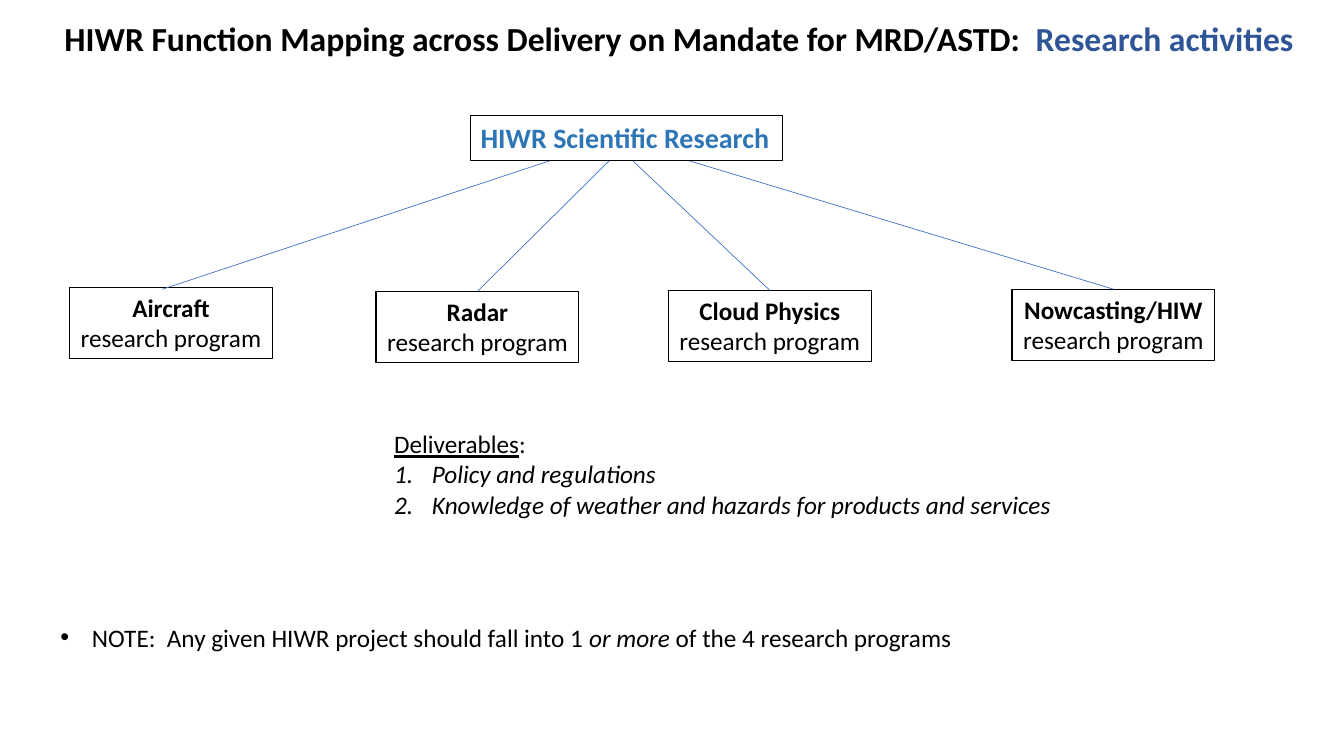
from dataclasses import dataclass

from lxml import etree
from pptx import Presentation
from pptx.dml.color import RGBColor
from pptx.enum import shapes, text
from pptx.oxml import ns
from pptx.util import Pt


@dataclass(frozen=True)
class Theme:
    font: str = "Calibri"
    ink: str = "000000"
    paper: str = "FFFFFF"
    navy: str = "2F5597"
    blue: str = "2E75B6"
    link: str = "4472C4"
    head: int = 24
    root: int = 20
    body: int = 18
    edge: float = 0.75
    thin: float = 0.5


LEFT, MID = text.PP_ALIGN.LEFT, text.PP_ALIGN.CENTER
NUMBER = [("buFont", {"typeface": "+mj-lt"}), ("buAutoNum", {"type": "arabicPeriod"})]
DOT = [("buFont", {"typeface": "Arial"}), ("buChar", {"char": "•"})]
PLAIN = [("buNone", {})]


class Board:
    def __init__(self, slide, theme):
        self.slide, self.theme = slide, theme

    def place(self, shape, area):
        for name, value in zip(("left", "top", "width", "height"), area):
            setattr(shape, name, Pt(value))

    def mark(self, para, bullet, indent):
        props = para._p.get_or_add_pPr()
        props.set("marL", str(Pt(indent)))
        props.set("indent", str(Pt(-indent)))
        for tag, attrs in bullet:
            etree.SubElement(props, ns.qn("a:" + tag), attrs)

    def letter(self, shape, paras, size, align=LEFT, wrap=True):
        """Fill a shape; each paragraph is (runs, bullet, indent), each run (words, format)."""
        frame = shape.text_frame
        frame.word_wrap = wrap
        frame.auto_size = text.MSO_AUTO_SIZE.NONE
        frame.vertical_anchor = text.MSO_ANCHOR.TOP
        for i, (runs, bullet, indent) in enumerate(paras):
            para = frame.add_paragraph() if i else frame.paragraphs[0]
            self.mark(para, bullet, indent)
            para.alignment = align
            para.space_before = Pt(0)
            for words, style in runs:
                run = para.add_run()
                run.text = words
                base = {"name": self.theme.font, "size": Pt(size), "color": self.theme.ink}
                for name, value in (base | style).items():
                    if name == "color":
                        run.font.color.rgb = RGBColor.from_string(value)
                    else:
                        setattr(run.font, name, value)

    def holder(self, index, area, paras, size, align=LEFT):
        shape = self.slide.placeholders[index]
        self.place(shape, area)
        self.letter(shape, paras, size, align)

    def box(self, area, paras, size, align=LEFT, fill=None, wrap=True):
        shape = self.slide.shapes.add_shape(
            shapes.MSO_SHAPE.RECTANGLE, *(Pt(v) for v in area))
        shape.shadow.inherit = False
        if fill:
            shape.fill.solid()
            shape.fill.fore_color.rgb = RGBColor.from_string(fill)
        else:
            shape.fill.background()
        shape.line.color.rgb = RGBColor.from_string(self.theme.ink)
        shape.line.width = Pt(self.theme.edge)
        self.letter(shape, paras, size, align, wrap)
        return shape

    def link(self, start, end, box=None):
        """Draw a line, joined to the top of box when one is given."""
        line = self.slide.shapes.add_connector(
            shapes.MSO_CONNECTOR.STRAIGHT, *(Pt(v) for v in start + end))
        if box is not None:
            line.begin_connect(box, 0)
        line.line.color.rgb = RGBColor.from_string(self.theme.link)
        line.line.width = Pt(self.theme.thin)
        etree.SubElement(line._element.spPr, ns.qn("a:effectLst"))


# name, left, top, line start, line end, joined to the box
PROGRAMS = [
    ("Aircraft", 49.7, 205.2, (116, 206.6), (415.4, 107.3), False),
    ("Radar", 268.6, 208.1, (341, 208.1), (439.9, 110.2), True),
    ("Cloud Physics", 477.4, 207.4, (549.8, 207.4), (447.1, 110.2), True),
    ("Nowcasting/HIW", 722.9, 206.6, (795.3, 206.6), (467.3, 107.3), True),
]


def main():
    deck = Presentation()
    deck.slide_width, deck.slide_height = Pt(960), Pt(540)
    theme = Theme()
    board = Board(deck.slides.add_slide(deck.slide_layouts[3]), theme)
    bold, italic = {"bold": True}, {"italic": True}

    board.holder(0, (10, 9.4, 950, 36), [([
        ("HIWR Function Mapping across Delivery on Mandate for MRD/ASTD:  ", bold),
        ("Research activities", bold | {"color": theme.navy})], PLAIN, 0)],
        theme.head, MID)

    board.holder(1, (274.3, 302.4, 500, 72.7), [
        ([("Deliverables", {"underline": True}), (":", {})], PLAIN, 0),
        ([("Policy and regulations", italic)], NUMBER, 27),
        ([("Knowledge of weather and hazards for products and services", italic)],
         NUMBER, 27)], theme.body)

    board.holder(2, (36, 440.6, 653.8, 29), [([
        ("NOTE:  Any given HIWR project should fall into 1 ", {}),
        ("or more ", italic),
        ("of the 4 research programs", {})], DOT, 22.5)], theme.body)

    for name, left, top, start, end, joined in PROGRAMS:
        box = board.box((left, top, 144.9, 51), [
            ([(name, bold)], PLAIN, 0),
            ([("research program", {})], PLAIN, 0)], theme.body, MID, wrap=False)
        board.link(start, end, box if joined else None)

    board.box((336.2, 82.8, 222.5, 31.7), [
        ([("HIWR Scientific Research", bold | {"color": theme.blue})], PLAIN, 0)],
        theme.root, fill=theme.paper)

    deck.save("out.pptx")


if __name__ == "__main__":
    main()
